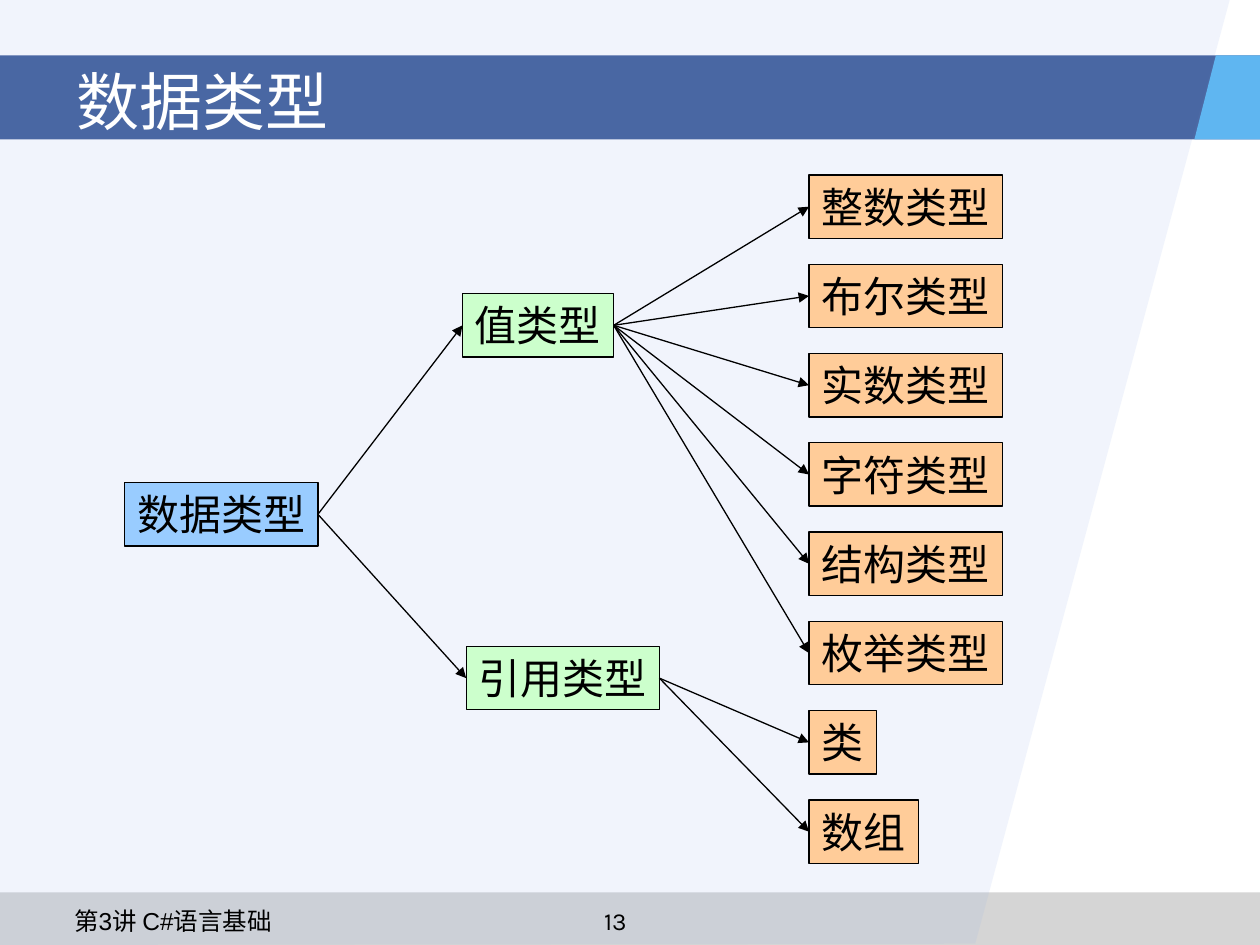
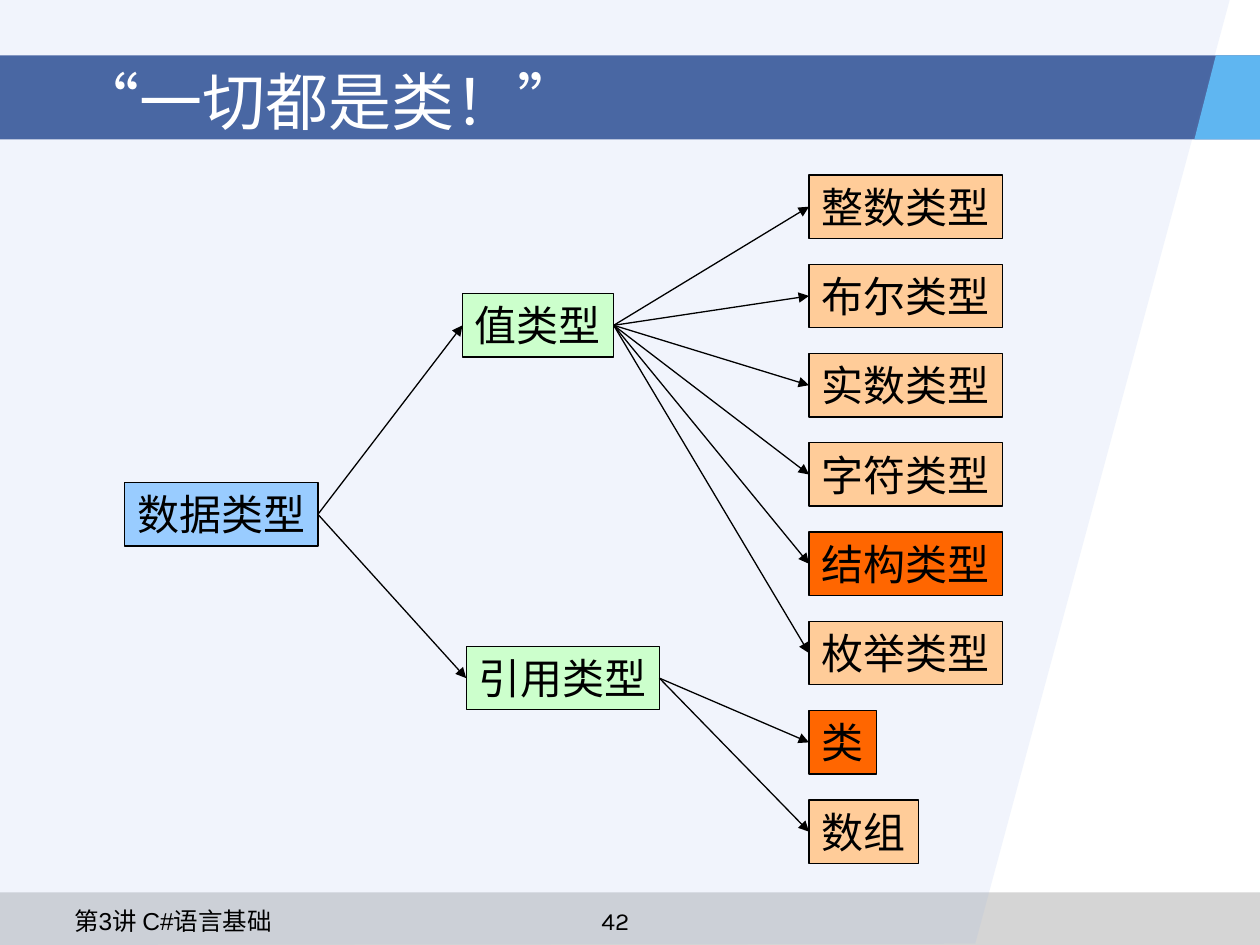
from lxml.etree import SubElement
from pptx import Presentation
from pptx.dml.color import RGBColor
from pptx.enum.lang import MSO_LANGUAGE_ID as Language
from pptx.enum.shapes import MSO_CONNECTOR as Connector, MSO_SHAPE as Shape
from pptx.enum.text import MSO_ANCHOR as Anchor, MSO_AUTO_SIZE as AutoSize, PP_ALIGN as Align
from pptx.oxml.ns import qn
from pptx.util import Pt

BLACK = RGBColor(0x00, 0x00, 0x00)
WHITE = RGBColor(0xFF, 0xFF, 0xFF)
GREY = RGBColor(0x96, 0x96, 0x96)
PALE_BLUE = RGBColor(0x94, 0xB1, 0xEC)
NAVY = RGBColor(0x17, 0x3D, 0x89)
SKY = RGBColor(0x5F, 0xB6, 0xF1)
ROOT_BLUE = RGBColor(0x99, 0xCC, 0xFF)
BRANCH_GREEN = RGBColor(0xCC, 0xFF, 0xCC)
LEAF_ORANGE = RGBColor(0xFF, 0xCC, 0x99)
HIGHLIGHT = RGBColor(0xFF, 0x66, 0x00)

WIDTH, HEIGHT = 720, 540
BAND_TOP, BAND_HEIGHT = 31.7, 48
FOOTER_TOP = 510
FOOTER_TEXT = "第3讲 C#语言基础"

NODE_SIZE, NODE_HEIGHT, NODE_PADDING = 24, 36.2, 7.2
LEAF_LEFT, LEAF_PITCH = 391, 51.02
# Branch name, left, top, leaves
BRANCHES = [
    ("值类型", 193, 67.8,
     ["整数类型", "布尔类型", "实数类型", "字符类型", "结构类型", "枚举类型"]),
    ("引用类型", 195.1, 269.4, ["类", "数组"]),
]


def style_text(paragraph, size, font_name, color=BLACK, align=Align.LEFT):
    paragraph.alignment = align
    font = paragraph.font
    font.size, font.name = Pt(size), font_name
    font.color.rgb = color
    font.language_id = Language.SIMPLIFIED_CHINESE


def fill_plain(shape, color, opacity=100):
    """Give a shape a flat fill, without line or shadow."""
    shape.shadow.inherit = False
    shape.line.fill.background()
    shape.fill.solid()
    shape.fill.fore_color.rgb = color
    if opacity < 100:
        color_element = shape.element.spPr.find(qn("a:solidFill"))[0]
        SubElement(color_element, qn("a:alpha"), val=str(opacity * 1000))


def add_band(slide, top, height, color, opacity):
    band = slide.shapes.add_shape(Shape.RECTANGLE, 0, Pt(top), Pt(WIDTH), Pt(height))
    fill_plain(band, color, opacity)


def add_polygon(slide, points, color, opacity=100):
    corners = [(Pt(x), Pt(y)) for x, y in points]
    builder = slide.shapes.build_freeform(*corners[0])
    builder.add_line_segments(corners[1:], close=True)
    fill_plain(builder.convert_to_shape(), color, opacity)


def add_background(slide):
    add_band(slide, FOOTER_TOP, HEIGHT - FOOTER_TOP, GREY, 40)
    add_polygon(slide, [(0, 0), (702.7, 0), (557.3, 539.3), (0, HEIGHT)], PALE_BLUE, 13)
    add_band(slide, BAND_TOP, BAND_HEIGHT, NAVY, 77)
    bottom = BAND_TOP + BAND_HEIGHT
    add_polygon(slide, [(694.8, BAND_TOP), (682.5, bottom),
                        (WIDTH, bottom), (WIDTH, BAND_TOP)], SKY)


def add_footer_text(slide, text, left, width, font_name, align=Align.LEFT):
    box = slide.shapes.add_textbox(Pt(left), Pt(514), Pt(width), Pt(17.5))
    frame = box.text_frame
    frame.word_wrap = True
    frame.text = text
    style_text(frame.paragraphs[0], 14, font_name, align=align)


def set_title(slide, text):
    title = slide.shapes.title
    title.left, title.top, title.width, title.height = Pt(36.7), Pt(26), Pt(648), Pt(62.6)
    frame = title.text_frame
    frame.text = text
    frame.vertical_anchor = Anchor.MIDDLE
    frame.auto_size = AutoSize.NONE
    style_text(frame.paragraphs[0], 36, "Karla", WHITE)
    title.element.getparent().append(title.element)  # bring above the bands


def add_node(slide, text, left, top, color):
    """Add a box just wide enough for its full-width characters."""
    width = len(text) * NODE_SIZE + 2 * NODE_PADDING
    node = slide.shapes.add_shape(Shape.RECTANGLE, Pt(left), Pt(top), Pt(width), Pt(NODE_HEIGHT))
    node.shadow.inherit = False
    node.fill.solid()
    node.fill.fore_color.rgb = color
    node.line.color.rgb = BLACK
    node.line.width = Pt(0.75)
    frame = node.text_frame
    frame.text = text
    frame.word_wrap = False
    frame.auto_size = AutoSize.SHAPE_TO_FIT_TEXT
    frame.vertical_anchor = Anchor.TOP
    style_text(frame.paragraphs[0], NODE_SIZE, "Arial")
    return node


def add_arrow(slide, parent, child):
    """Link the right side of parent to the left side of child."""
    arrow = slide.shapes.add_connector(Connector.STRAIGHT, 0, 0, 0, 0)
    arrow.begin_connect(parent, 3)
    arrow.end_connect(child, 1)
    arrow.line.color.rgb = BLACK
    arrow.line.width = Pt(0.75)
    properties = arrow.element.spPr
    SubElement(properties.find(qn("a:ln")), qn("a:tailEnd"), type="triangle")
    SubElement(properties, qn("a:effectLst"))


def add_type_tree(slide, left, top, highlighted):
    root = add_node(slide, "数据类型", left, top + 175.8, ROOT_BLUE)
    leaf_top = top
    for name, branch_left, branch_top, leaves in BRANCHES:
        branch = add_node(slide, name, left + branch_left, top + branch_top, BRANCH_GREEN)
        add_arrow(slide, root, branch)
        for leaf_name in leaves:
            color = HIGHLIGHT if leaf_name in highlighted else LEAF_ORANGE
            leaf = add_node(slide, leaf_name, left + LEAF_LEFT, leaf_top, color)
            add_arrow(slide, branch, leaf)
            leaf_top += LEAF_PITCH


def add_tree_slide(presentation, title, number, highlighted=()):
    slide = presentation.slides.add_slide(presentation.slide_layouts[5])
    add_background(slide)
    add_footer_text(slide, number, 303.8, 95.8, "Karla", Align.CENTER)
    add_footer_text(slide, FOOTER_TEXT, 35.3, 256.3, "Arial")
    set_title(slide, title)
    add_type_tree(slide, 71.3, 100, highlighted)


def main():
    presentation = Presentation()
    presentation.slide_width, presentation.slide_height = Pt(WIDTH), Pt(HEIGHT)
    add_tree_slide(presentation, "数据类型", "13")
    add_tree_slide(presentation, "“一切都是类！”", "42", ("结构类型", "类"))
    presentation.save("out.pptx")


if __name__ == "__main__":
    main()
